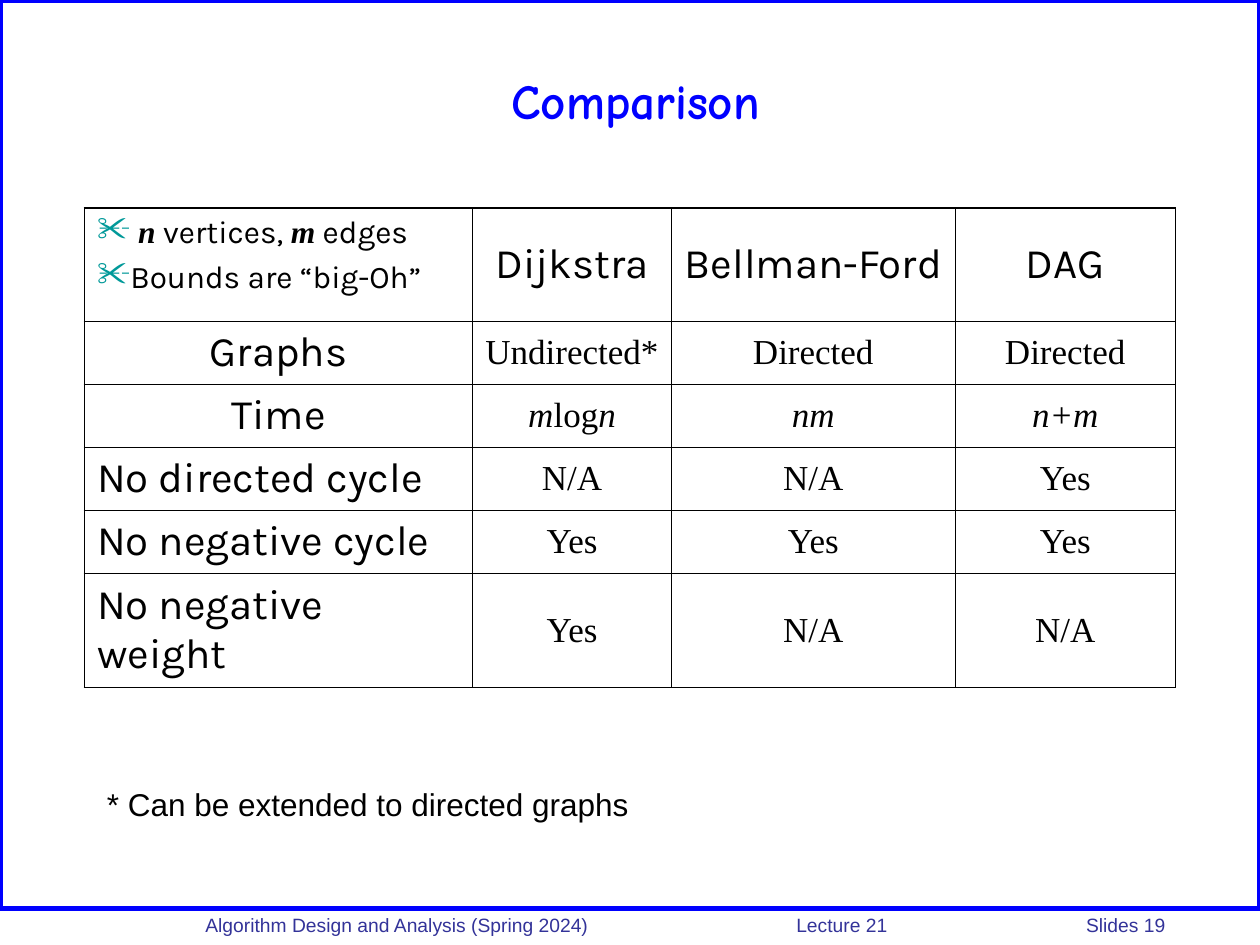
from lxml.etree import SubElement
from pptx import Presentation
from pptx.dml.color import RGBColor
from pptx.enum.shapes import MSO_SHAPE
from pptx.enum.text import MSO_ANCHOR, PP_ALIGN
from pptx.oxml.ns import qn
from pptx.util import Inches, Pt

COLORS = {"blue": "0000FF", "navy": "333399", "teal": "009999", "black": "000000"}
SANS, SERIF = "Karla", "Times New Roman"
COL_WIDTHS = [3.08, 1.58, 2.25, 1.75]
ROW_HEIGHTS = [0.9, 0.5, 0.5, 0.5, 0.5, 0.9]
ALGORITHMS = ["Dijkstra", "Bellman-Ford", "DAG"]
NOTES = [
    [(" n", True), (" vertices, ", False), ("m", True), (" edges", False)],
    [("Bounds are “big-Oh”", False)],
]
# Each value is a list of (text, italic) runs
ROWS = [
    ("Graphs", [[("Undirected*", False)], [("Directed", False)], [("Directed", False)]]),
    ("Time", [[("m", True), ("log", False), ("n", True)], [("nm", True)], [("n+m", True)]]),
    ("No directed cycle", [[("N/A", False)], [("N/A", False)], [("Yes", False)]]),
    ("No negative cycle", [[("Yes", False)], [("Yes", False)], [("Yes", False)]]),
    ("No negative weight", [[("Yes", False)], [("N/A", False)], [("N/A", False)]]),
]
THIN, THICK = 0.45, 1.08


def format_font(font, name, size, color="black", bold=False, italic=False):
    font.name, font.size = name, Pt(size)
    font.bold, font.italic = bold, italic
    font.color.rgb = RGBColor.from_string(COLORS[color])


def add_run(p, text, name, size, **style):
    r = p.add_run()
    r.text = text
    format_font(r.font, name, size, **style)


def add_bullet(p):
    pPr = p._p.get_or_add_pPr()
    pPr.set("marL", "0")
    pPr.set("indent", "0")
    color = SubElement(pPr, qn("a:buClr"))
    SubElement(color, qn("a:srgbClr"), val=COLORS["teal"])
    SubElement(pPr, qn("a:buSzPct"), val="110000")
    SubElement(pPr, qn("a:buChar"), char="✂")


def add_tabs(p, positions):
    tabs = SubElement(p._p.get_or_add_pPr(), qn("a:tabLst"))
    for pos in positions:
        SubElement(tabs, qn("a:tab"), pos=str(Inches(pos)), algn="l")


def set_borders(cell, widths):
    """Draw the left, right, top and bottom borders, widths in points."""
    tcPr = cell._tc.get_or_add_tcPr()
    for side, width in zip("LRTB", widths):
        ln = SubElement(tcPr, qn(f"a:ln{side}"), w=str(Pt(width)))
        fill = SubElement(ln, qn("a:solidFill"))
        SubElement(fill, qn("a:srgbClr"), val=COLORS["black"])


def add_text_box(s, left, top, width, height, text, size, color):
    tf = s.shapes.add_textbox(Inches(left), Inches(top), Inches(width), Inches(height)).text_frame
    tf.word_wrap = True
    add_run(tf.paragraphs[0], text, "Arial", size, color=color)
    return tf


def add_frame(s):
    sp = s.shapes.add_shape(MSO_SHAPE.RECTANGLE, 0, 0, Inches(10), Inches(7.21))
    sp.shadow.inherit = False
    sp.fill.background()
    sp.line.color.rgb = RGBColor.from_string(COLORS["blue"])
    sp.line.width = Pt(3)


def add_footer(s):
    text = "Algorithm Design and Analysis (Spring 2024)\tLecture 21\tSlides 19"
    tf = add_text_box(s, 1.33, 7.2, 8.67, 0.26, text, 11, "navy")
    tf.margin_left = Inches(0.3)
    add_tabs(tf.paragraphs[0], [4.69, 6.99])


def set_title(s, text):
    title = s.shapes.title
    title.left, title.top = Inches(0.67), Inches(0.33)
    title.width, title.height = Inches(8.75), Inches(0.92)
    tf = title.text_frame
    tf.text = text
    tf.vertical_anchor = MSO_ANCHOR.MIDDLE
    p = tf.paragraphs[0]
    p.alignment = PP_ALIGN.CENTER
    format_font(p.runs[0].font, "Comic Neue", 28, color="blue", bold=True)


def fill_notes(cell):
    cell.vertical_anchor = MSO_ANCHOR.TOP
    tf = cell.text_frame
    for i, runs in enumerate(NOTES):
        p = tf.add_paragraph() if i else tf.paragraphs[0]
        if i:
            p.space_before = Pt(4.5)
        add_bullet(p)
        for text, is_symbol in runs:
            add_run(p, text, SERIF if is_symbol else SANS, 18, bold=is_symbol, italic=is_symbol)


def fill_heading(cell, text, align=PP_ALIGN.CENTER):
    p = cell.text_frame.paragraphs[0]
    p.alignment = align
    add_run(p, text, SANS, 24)


def fill_value(cell, runs):
    p = cell.text_frame.paragraphs[0]
    p.alignment = PP_ALIGN.CENTER
    for text, italic in runs:
        add_run(p, text, SERIF, 20, italic=italic)


def add_comparison_table(s):
    n_rows, n_cols = len(ROW_HEIGHTS), len(COL_WIDTHS)
    table = s.shapes.add_table(n_rows, n_cols, Inches(0.67), Inches(1.65),
                               Inches(sum(COL_WIDTHS)), Inches(sum(ROW_HEIGHTS))).table
    table.first_row = table.horz_banding = False
    for column, width in zip(table.columns, COL_WIDTHS):
        column.width = Inches(width)
    for i, height in enumerate(ROW_HEIGHTS):
        table.rows[i].height = Inches(height)
        for j in range(n_cols):
            cell = table.cell(i, j)
            cell.vertical_anchor = MSO_ANCHOR.MIDDLE
            outer = (j == 0, j == n_cols - 1, i == 0, False)
            set_borders(cell, [THICK if edge else THIN for edge in outer])
            cell.fill.background()

    fill_notes(table.cell(0, 0))
    for j, name in enumerate(ALGORITHMS, 1):
        fill_heading(table.cell(0, j), name)
    for i, (label, values) in enumerate(ROWS, 1):
        align = PP_ALIGN.LEFT if label.startswith("No ") else PP_ALIGN.CENTER
        fill_heading(table.cell(i, 0), label, align)
        for j, runs in enumerate(values, 1):
            fill_value(table.cell(i, j), runs)


def main():
    prs = Presentation()
    prs.slide_width, prs.slide_height = Inches(10), Inches(7.5)
    s = prs.slides.add_slide(prs.slide_layouts[5])
    add_frame(s)
    add_footer(s)
    set_title(s, "Comparison")
    add_comparison_table(s)
    add_text_box(s, 0.75, 6.18, 7.67, 0.4, "* Can be extended to directed graphs", 18, "black")
    prs.save("out.pptx")


if __name__ == "__main__":
    main()
